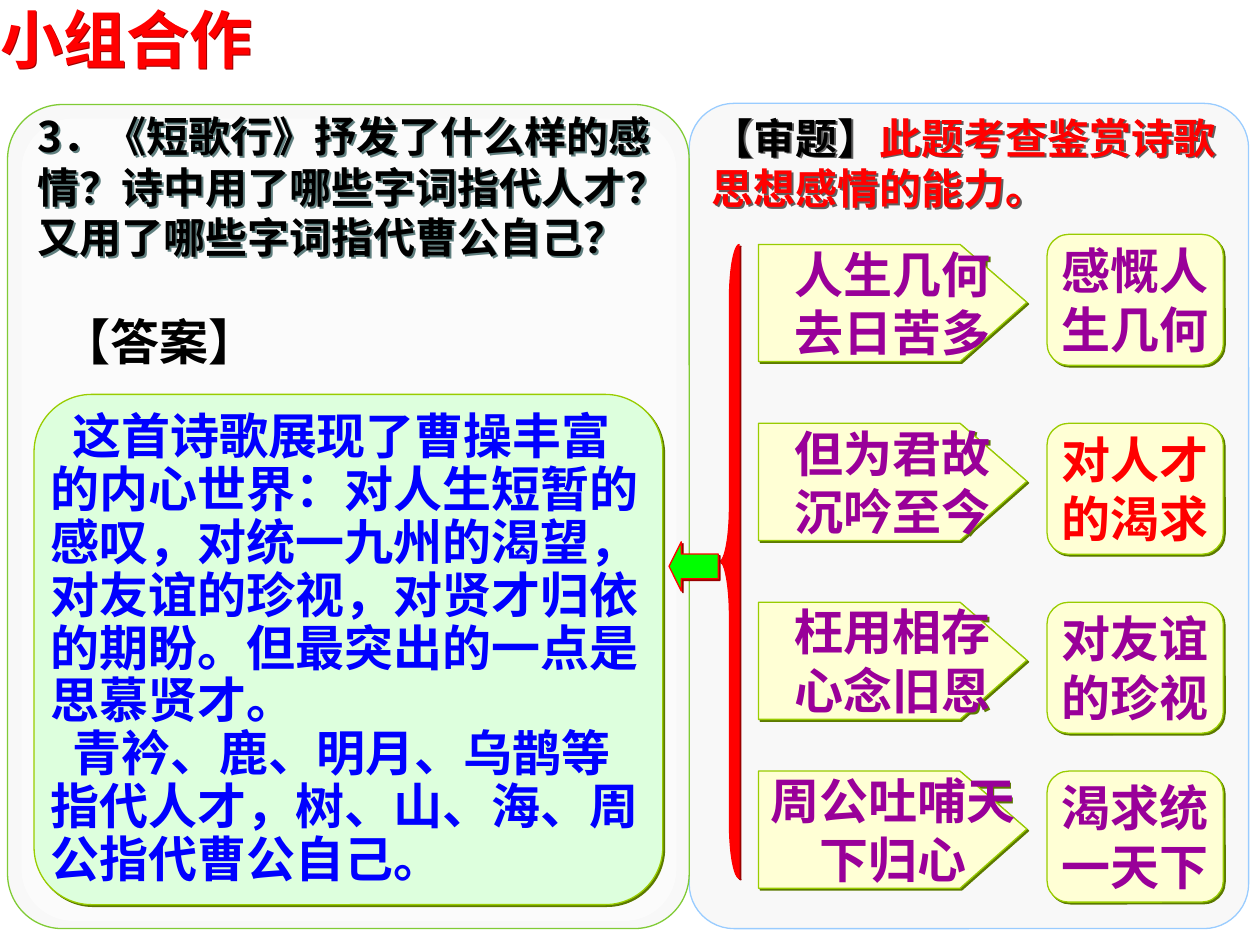
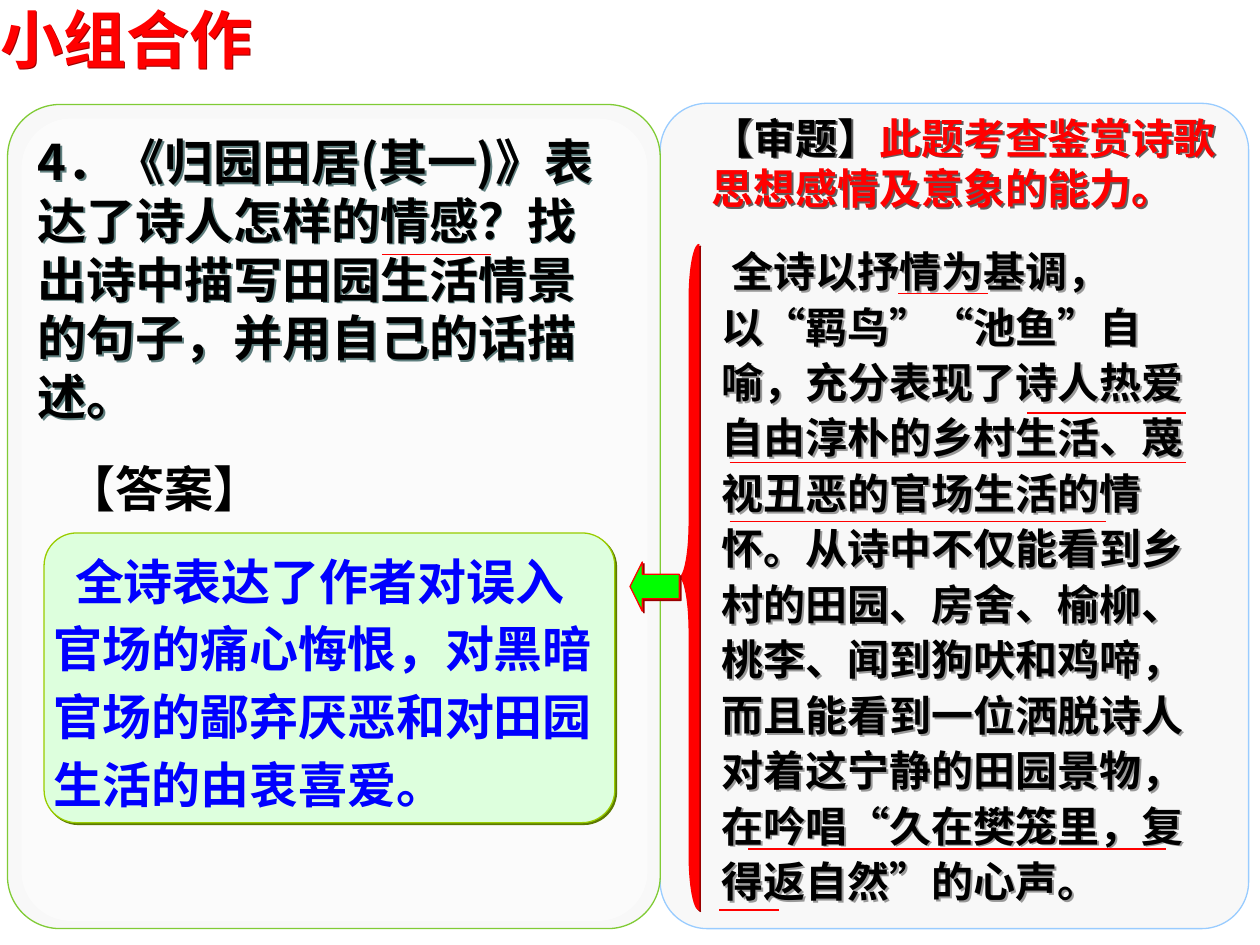
from dataclasses import dataclass
from typing import NamedTuple

import lxml.etree
import pptx
import pptx.dml.color
import pptx.enum.lang
import pptx.enum.shapes
import pptx.enum.text
import pptx.oxml.ns
import pptx.util

PX = 9144  # EMU in one px, 100 px to the inch
SHAPE = pptx.enum.shapes.MSO_SHAPE
ANCHOR = pptx.enum.text.MSO_ANCHOR
ALIGN = pptx.enum.text.PP_ALIGN
qn = pptx.oxml.ns.qn


@dataclass(frozen=True)
class Theme:
    latin: str = "Arial"
    cjk: str = "Noto Sans CJK SC"
    title_size: int = 36
    large: int = 28
    small: int = 24
    line_height: float = 1.2
    black: str = "000000"
    white: str = "FFFFFF"
    red: str = "FF0000"
    purple: str = "990099"
    blue: str = "0000FF"
    arrow: str = "00FF00"
    panel: str = "F8F8F8"
    left_edge: str = "80CB35"
    right_edge: str = "99CCFF"
    answer: str = "DDFFDD"
    card: str = "FFFFD5"
    card_edge: str = "99CC00"
    green_shadow: str = "5C7A00"
    red_shadow: str = "990000"
    question_shadow: str = "5F7F7F"
    focus_shadow: str = "5F5F5F"
    analysis_shadow: str = "999999"


T = Theme()


class Box(NamedTuple):
    x: int
    y: int
    w: int
    h: int

    def emu(self) -> tuple[int, ...]:
        return tuple(v * PX for v in self)


class Run(NamedTuple):
    text: str
    color: str


class Verse(NamedTuple):
    lines: list[str]
    meaning: str
    y: int
    meaning_y: int
    color: str = T.purple


class Rule(NamedTuple):
    x1: int
    x2: int
    y: int


@dataclass(frozen=True)
class Page:
    split: int  # where the left and right panels meet
    question: str
    question_box: Box
    question_size: int
    focus: str
    tag: Box
    answer: list[str]
    answer_box: Box
    answer_spacing: float
    brace: Box
    arrow: Box


def rgb(color: str) -> pptx.dml.color.RGBColor:
    return pptx.dml.color.RGBColor.from_string(color)


def cast_shadow(sp, color: str | None) -> None:
    """Give a shape a hard shadow, down and to the right, or none."""
    sp.shadow.inherit = False
    if color:
        effects = sp.element.spPr.find(qn("a:effectLst"))
        outer = lxml.etree.SubElement(effects, qn("a:outerShdw"), blurRad="0", dist="17961",
                                      dir="2700000", algn="ctr", rotWithShape="0")
        lxml.etree.SubElement(outer, qn("a:srgbClr"), val=color)


def write(tf, paragraphs: list, *, size: int, color: str = T.black,
          font: str = T.cjk, align=ALIGN.LEFT, anchor=ANCHOR.TOP, spacing: float = 1,
          indent: int = 0, inset: tuple[int, int] = (0, 0)) -> None:
    """Fill a text frame; a paragraph is a string or a list of Runs."""
    tf.word_wrap = True
    tf.auto_size = pptx.enum.text.MSO_AUTO_SIZE.NONE
    tf.vertical_anchor = anchor
    tf.margin_left = tf.margin_right = inset[0] * PX
    tf.margin_top = tf.margin_bottom = inset[1] * PX
    for i, content in enumerate(paragraphs):
        p = tf.add_paragraph() if i else tf.paragraphs[0]
        pPr = p._p.get_or_add_pPr()
        for name, value in (("marL", 0), ("indent", indent * PX), ("hangingPunct", 0)):
            pPr.set(name, str(value))
        lxml.etree.SubElement(pPr, qn("a:buNone"))
        p.alignment = align
        p.space_before = pptx.util.Pt(0)
        p.line_spacing = pptx.util.Pt(round(size * T.line_height * spacing, 1))
        for run in [Run(content, color)] if isinstance(content, str) else content:
            r = p.add_run()
            r.text = run.text
            r.font.size = pptx.util.Pt(size)
            r.font.bold = True
            r.font.language_id = pptx.enum.lang.MSO_LANGUAGE_ID.SIMPLIFIED_CHINESE
            r.font.color.rgb = rgb(run.color)
            r.font.name = font
            latin = r._r.get_or_add_rPr().find(qn("a:latin"))
            latin.addnext(latin.makeelement(qn("a:ea"), {"typeface": T.cjk}))


def paint(sp, fill: str, edge: str | None = None, shadow: str | None = None) -> None:
    sp.fill.solid()
    sp.fill.fore_color.rgb = rgb(fill)
    if edge:
        sp.line.color.rgb = rgb(edge)
        sp.line.width = pptx.util.Pt(0.75)
    else:
        sp.line.fill.background()
    cast_shadow(sp, shadow)


def add_preset(s, kind, box: Box, adjust: tuple[float, ...], fill: str,
               edge: str | None = None, shadow: str | None = None):
    sp = s.shapes.add_shape(kind, *box.emu())
    for i, value in enumerate(adjust):
        sp.adjustments[i] = value
    paint(sp, fill, edge, shadow)
    return sp


def add_text(s, box: Box, paragraphs: list, shadow: str | None = None, **fmt) -> None:
    sp = s.shapes.add_textbox(*box.emu())
    cast_shadow(sp, shadow)
    write(sp.text_frame, paragraphs, inset=(10, 5), **fmt)


def fill_placeholder(ph, box: Box, paragraphs: list, shadow: str, **fmt) -> None:
    """Move a placeholder, bring it to the front and fill it."""
    ph.left, ph.top, ph.width, ph.height = box.emu()
    ph.element.getparent().append(ph.element)
    ph.fill.background()
    cast_shadow(ph, shadow)
    write(ph.text_frame, paragraphs, **fmt)


def add_panels(s, split: int) -> None:
    rounded = SHAPE.ROUNDED_RECTANGLE
    add_preset(s, rounded, Box(split, 82, 991 - split, 655), (0.08,), T.panel, T.right_edge)
    add_preset(s, rounded, Box(6, 83, split - 6, 654), (0.08,), T.panel, T.left_edge)
    glow = add_preset(s, rounded, Box(17, 94, split - 27, 637), (0.08,), T.white)
    color = glow.element.spPr.find(qn("a:solidFill")).find(qn("a:srgbClr"))
    lxml.etree.SubElement(color, qn("a:alpha"), val="50000")


def add_verse(s, verse: Verse) -> None:
    """A pentagon with the verse and a card with its meaning."""
    x, y, w, h, tip = 602, verse.y, 213, 93, 53
    builder = s.shapes.build_freeform(x, y, scale=PX)
    builder.add_line_segments([(x + w - tip, y), (x + w, y + h / 2),
                               (x + w - tip, y + h), (x, y + h)])
    pentagon = builder.convert_to_shape()
    paint(pentagon, T.card, T.card_edge, T.green_shadow)
    card = add_preset(s, SHAPE.ROUNDED_RECTANGLE, Box(831, verse.meaning_y, 140, 104),
                      (0.167,), T.card, T.card_edge, T.green_shadow)
    for sp, lines, color in ((pentagon, verse.lines, T.purple),
                             (card, [verse.meaning], verse.color)):
        write(sp.text_frame, lines, size=T.large, color=color, font=T.latin,
              align=ALIGN.CENTER, anchor=ANCHOR.MIDDLE)


def add_rule(s, rule: Rule) -> None:
    line = s.shapes.add_connector(pptx.enum.shapes.MSO_CONNECTOR.STRAIGHT, rule.x1 * PX,
                                  rule.y * PX, rule.x2 * PX, rule.y * PX)
    line.line.color.rgb = rgb(T.red)
    line.line.width = pptx.util.Pt(1)
    lxml.etree.SubElement(line.element.spPr, qn("a:effectLst"))


def add_page(prs, page: Page):
    """Everything that both slides share."""
    s = prs.slides.add_slide(prs.slide_layouts[1])
    title, body = s.placeholders
    add_panels(s, page.split)
    fill_placeholder(title, Box(0, 0, 224, 60), ["小组合作"], T.red_shadow,
                     size=T.title_size, color=T.red, font=T.latin)
    fill_placeholder(body, page.question_box, [page.question], T.question_shadow,
                     size=page.question_size, anchor=ANCHOR.MIDDLE, inset=(10, 5))
    # Answer
    add_text(s, page.tag, ["【答案】"], size=T.large)
    answer = add_preset(s, SHAPE.ROUNDED_RECTANGLE, page.answer_box, (0.113,),
                        T.answer, T.card_edge, T.green_shadow)
    write(answer.text_frame, page.answer, size=T.large, color=T.blue, anchor=ANCHOR.MIDDLE,
          spacing=page.answer_spacing, indent=17)
    # What the question tests
    add_text(s, Box(555, 84, 430, 90), [[Run("【审题】", T.black), Run(page.focus, T.red)]],
             T.focus_shadow, size=T.small, font=T.latin)
    # Brace and arrow back to the answer
    add_preset(s, SHAPE.LEFT_BRACE, page.brace, (2.75, 0.5), T.red, T.red, T.red_shadow)
    add_preset(s, SHAPE.LEFT_ARROW, page.arrow, (0.5, 0.25), T.arrow, T.red, T.red_shadow)
    return s


SHORT_SONG = Page(
    split=547,
    question="3．《短歌行》抒发了什么样的感情？诗中用了哪些字词指代人才？又用了哪些字词指代曹公自己？",
    question_box=Box(20, 83, 528, 130), question_size=T.small,
    focus="此题考查鉴赏诗歌思想感情的能力。",
    tag=Box(39, 242, 193, 57),
    answer=["这首诗歌展现了曹操丰富的内心世界：对人生短暂的感叹，对统一九州的渴望，"
            "对友谊的珍视，对贤才归依的期盼。但最突出的一点是思慕贤才。",
            "青衿、鹿、明月、乌鹊等指代人才，树、山、海、周公指代曹公自己。"],
    answer_box=Box(27, 313, 499, 405), answer_spacing=0.9,
    brace=Box(571, 194, 16, 503), arrow=Box(531, 430, 39, 39))

VERSES = [
    Verse(["人生几何", "去日苦多"], "感慨人生几何", 194, 186),
    Verse(["但为君故", "沉吟至今"], "对人才的渴求", 336, 336, T.red),
    Verse(["枉用相存", "心念旧恩"], "对友谊的珍视", 478, 478),
    Verse(["周公吐哺天下归心"], "渴求统一天下", 612, 612),
]

FIELD_LIFE = Page(
    split=524,
    question="4．《归园田居(其一)》表达了诗人怎样的情感？找出诗中描写田园生活情景的句子，并用自己的话描述。",
    question_box=Box(20, 99, 480, 244), question_size=T.large,
    focus="此题考查鉴赏诗歌思想感情及意象的能力。",
    tag=Box(43, 359, 193, 57),
    answer=["全诗表达了作者对误入官场的痛心悔恨，对黑暗官场的鄙弃厌恶和对田园生活的由衷喜爱。"],
    answer_box=Box(35, 423, 453, 230), answer_spacing=1.15,
    brace=Box(539, 194, 16, 528), arrow=Box(500, 446, 39, 39))

ANALYSIS = ("全诗以抒情为基调，以“羁鸟”“池鱼”自喻，充分表现了诗人热爱自由淳朴的乡村生活、"
            "蔑视丑恶的官场生活的情怀。从诗中不仅能看到乡村的田园、房舍、榆柳、桃李、"
            "闻到狗吠和鸡啼，而且能看到一位洒脱诗人对着这宁静的田园景物，"
            "在吟唱“久在樊笼里，复得返自然”的心声。")

RULES = [Rule(303, 390, 202), Rule(713, 784, 233), Rule(815, 941, 328), Rule(579, 941, 367),
         Rule(579, 878, 414), Rule(594, 925, 674), Rule(571, 618, 722)]


def main() -> None:
    prs = pptx.Presentation()
    prs.slide_width, prs.slide_height = 1000 * PX, 750 * PX

    # Slide 1: verses and their meanings
    s = add_page(prs, SHORT_SONG)
    for verse in VERSES:
        add_verse(s, verse)

    # Slide 2: analysis with underlined phrases
    s = add_page(prs, FIELD_LIFE)
    add_text(s, Box(563, 186, 400, 538), [ANALYSIS], T.analysis_shadow, size=T.small,
             anchor=ANCHOR.MIDDLE, spacing=1.1, indent=8)
    for rule in RULES:
        add_rule(s, rule)

    prs.save("out.pptx")


if __name__ == "__main__":
    main()
